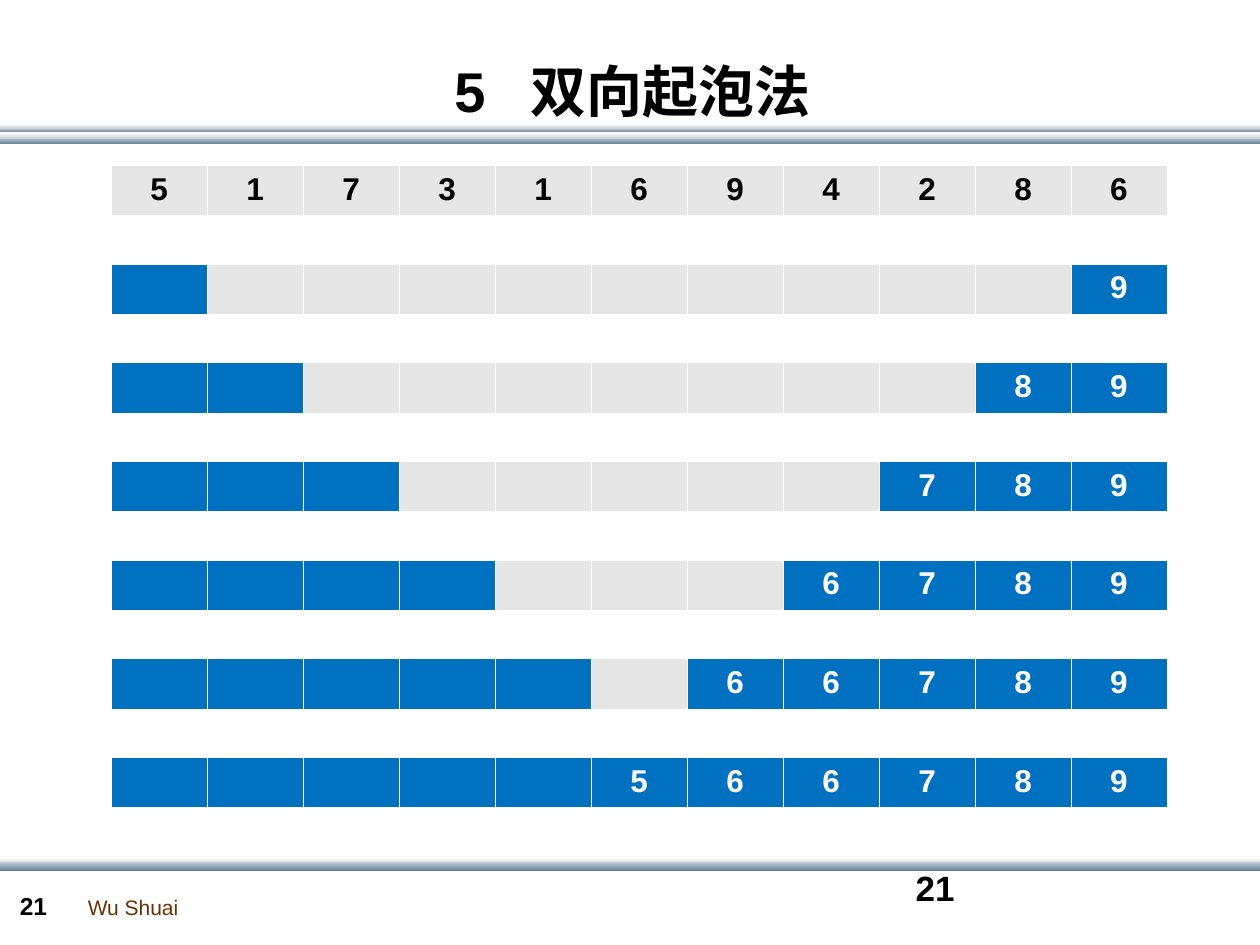
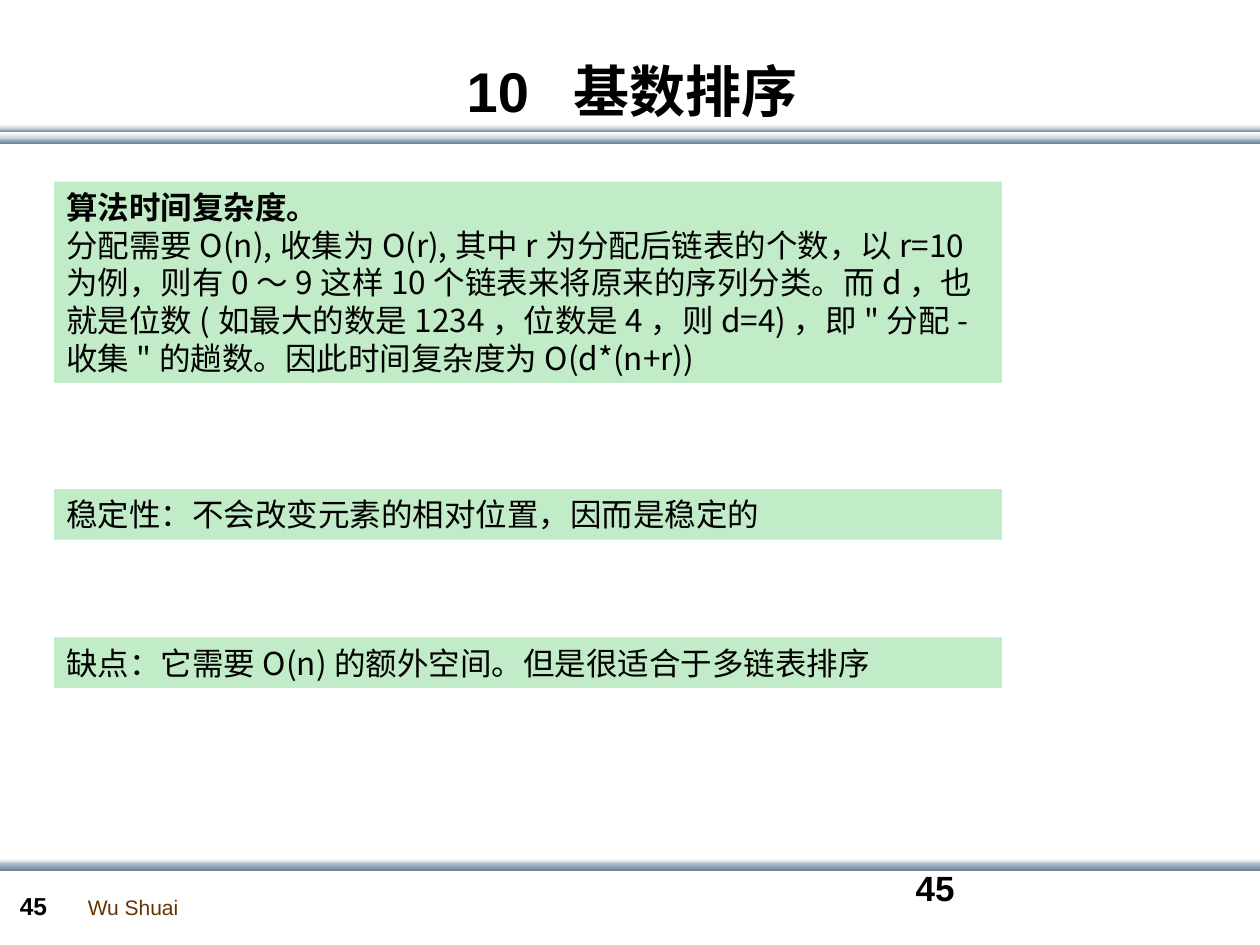
"""Builds two slides on sorting: two-way bubble sort and radix sort."""
from dataclasses import dataclass

from lxml.etree import SubElement
from pptx import Presentation
from pptx.dml.color import RGBColor as RGB
from pptx.enum.shapes import MSO_SHAPE as SHAPE
from pptx.enum.text import MSO_ANCHOR as ANCHOR, PP_ALIGN as ALIGN
from pptx.oxml import parse_xml
from pptx.oxml.ns import nsdecls, qn
from pptx.util import Cm, Pt


@dataclass(frozen=True)
class Theme:
    white: str = "FFFFFF"
    mist: str = "C8D1DA"
    slate: str = "6A839C"
    ink: str = "000000"
    brown: str = "663300"
    grey: str = "E6E6E6"
    blue: str = "0070C0"
    green: str = "C2EBC7"
    latin: str = "Arial"
    cjk: str = "Noto Sans CJK SC"
    title: int = 32
    number: int = 20
    body: int = 18
    page: int = 14
    author: int = 12


T = Theme()


def write(p, text, size=T.body, color=T.ink, bold=False, font=T.latin, align=ALIGN.LEFT, gap=0):
    """Add one formatted run to a paragraph; gap is extra letter spacing in points."""
    p.alignment = align
    r = p.add_run()
    r.text = text
    r.font.size, r.font.bold, r.font.name = Pt(size), bold, font
    r.font.color.rgb = RGB.from_string(color)
    rPr = r.font._element
    SubElement(rPr, qn("a:ea")).set("typeface", T.cjk)
    if gap:
        rPr.set("spc", str(gap * 100))


def add_box(s, left, top, width, height, fill=None):
    """Add a wrapping text box, or a plain rectangle when a fill is given."""
    place = Cm(left), Cm(top), Cm(width), Cm(height)
    if fill:
        sp = s.shapes.add_shape(SHAPE.RECTANGLE, *place)
        sp.shadow.inherit = False
        sp.line.fill.background()
        sp.fill.solid()
        sp.fill.fore_color.rgb = RGB.from_string(fill)
        sp.text_frame.vertical_anchor = ANCHOR.TOP
    else:
        sp = s.shapes.add_textbox(*place)
    sp.text_frame.word_wrap = True
    return sp


prs = Presentation()
prs.slide_width, prs.slide_height = Cm(25.4), Cm(19.05)
layout = prs.slide_layouts[5]
for ph in list(layout.placeholders)[1:]:
    ph.element.getparent().remove(ph.element)

slides = []
for page, number, heading in [(21, "5", "双向起泡法"), (45, "10", "基数排序")]:
    s = prs.slides.add_slide(layout)
    slides.append(s)
    title = s.shapes.title
    title.left, title.top, title.width, title.height = Cm(0.56), Cm(1.12), Cm(24.38), Cm(1.4)
    title.text_frame.vertical_anchor = ANCHOR.MIDDLE
    p = title.text_frame.paragraphs[0]
    for text, gap in [(number, 0), (" ", 9), (heading, 0)]:
        write(p, text, size=T.title, bold=True, align=ALIGN.CENTER, gap=gap)
    for left, top, width, height, size in [
        (0.15, 17.83, 1.4, 0.86, T.page),
        (18.21, 17.35, 5.92, 1.27, T.number),
    ]:
        sp = add_box(s, left, top, width, height)
        write(sp.text_frame.paragraphs[0], str(page), size=size, bold=True)

bubble, radix = slides

shared = []
for top, height, start, end in [
    (2.77, 0.13, T.mist, T.slate),
    (2.59, 0.08, T.mist, T.slate),
    (2.67, 0.13, T.white, T.mist),
    (2.51, 0.08, T.white, T.mist),
    (17.3, 0.13, T.white, T.mist),
    (17.37, 0.18, T.mist, T.slate),
]:
    band = add_box(bubble, 0, top, 25.4, height, fill=start)
    band.fill.gradient()
    band.fill.gradient_angle = 270
    for stop, color in zip(band.fill.gradient_stops, (start, end)):
        stop.color.rgb = RGB.from_string(color)
    shared.append(band)
author = add_box(bubble, 1.52, 17.91, 2.34, 0.76)
author.text_frame.word_wrap = False
write(author.text_frame.paragraphs[0], "Wu Shuai", size=T.author, color=T.brown)
shared.append(author)
for sp in shared:
    layout.element.cSld.spTree.append(sp.element)

unsorted = [5, 1, 7, 3, 1, 6, 9, 4, 2, 8, 6]
largest = [5, 6, 6, 7, 8, 9]
count = len(unsorted)
for done in range(len(largest) + 1):
    top = 3.33 + 1.99 * done
    frame = bubble.shapes.add_table(1, count, Cm(2.24), Cm(top), Cm(21.29), Cm(1.03))
    table = frame.table
    table.first_row = table.horz_banding = False
    values = [""] * (count - done) + largest[len(largest) - done:] if done else unsorted
    for col, value in enumerate(values):
        cell = table.cell(0, col)
        placed = col < done or col >= count - done
        if value:
            write(cell.text_frame.paragraphs[0], str(value), bold=True, align=ALIGN.CENTER,
                  color=T.white if placed else T.ink)
        tcPr = cell._tc.get_or_add_tcPr()
        for side, width in [("L", 0.45), ("R", 0.45), ("T", 0.45), ("B", 1.47)]:
            tcPr.append(parse_xml(
                f'<a:ln{side} {nsdecls("a")} w="{Pt(width)}"><a:solidFill>'
                f'<a:srgbClr val="{T.white}"/></a:solidFill></a:ln{side}>'))
        cell.fill.solid()
        cell.fill.fore_color.rgb = RGB.from_string(T.blue if placed else T.grey)

for top, height, lead, text in [
    (3.66, 4.06, "算法时间复杂度。",
     "分配需要O(n),收集为O(r),其中r为分配后链表的个数，以r=10为例，则有0～9这样10个链表来将原来的序列分类。"
     "而d，也就是位数(如最大的数是1234，位数是4，则d=4)，即\"分配-收集\"的趟数。因此时间复杂度为O(d*(n+r))"),
    (9.86, 1.02, "", "稳定性：不会改变元素的相对位置，因而是稳定的"),
    (12.85, 1.02, "", "缺点：它需要O(n)的额外空间。但是很适合于多链表排序"),
]:
    note = add_box(radix, 1.09, top, 19.11, height, fill=T.green)
    p = note.text_frame.paragraphs[0]
    if lead:
        write(p, lead, bold=True, font=T.cjk)
        p.add_line_break()
    write(p, text, font=T.cjk)

prs.save("out.pptx")
